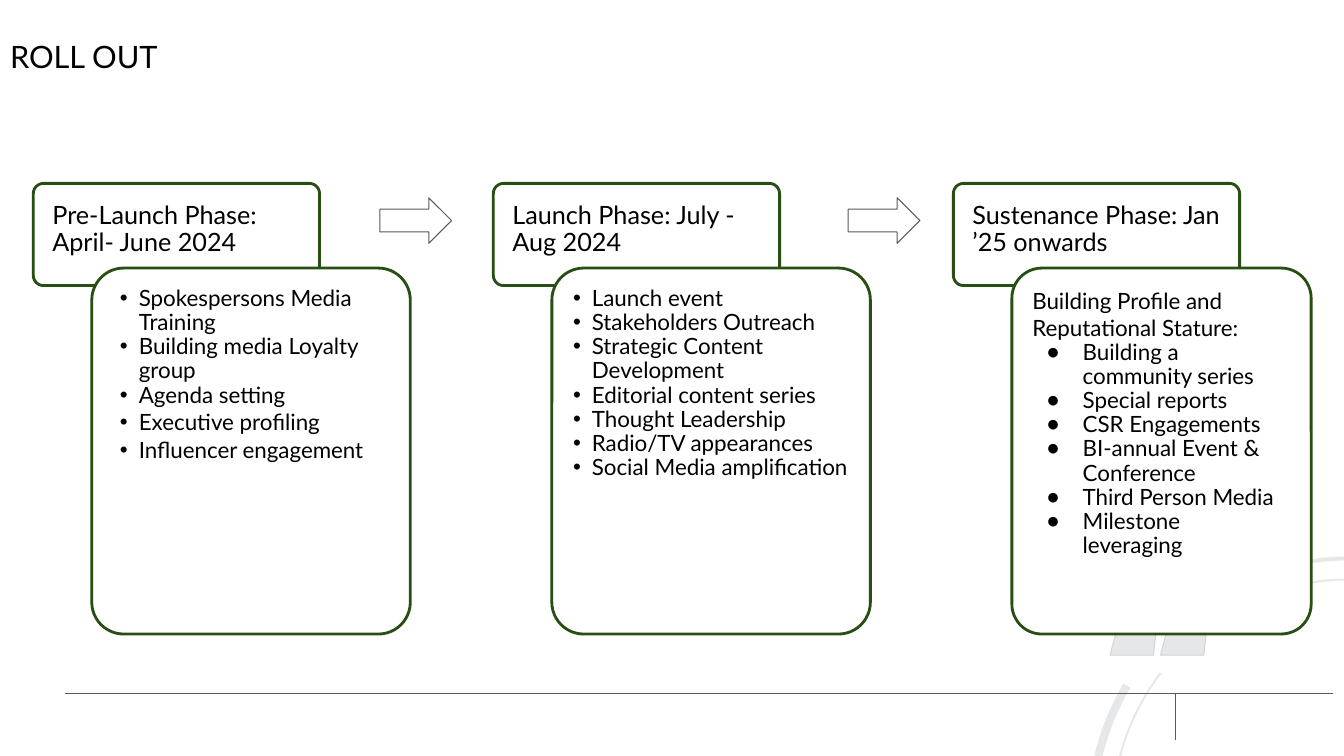
from math import cos, radians, sin

from lxml import etree
from pptx import Presentation
from pptx.dml.color import RGBColor
from pptx.enum import shapes, text
from pptx.oxml import ns
from pptx.util import Pt

COLORS = {"ink": "000000", "paper": "FFFFFF", "green": "274E13",
          "rule": "595959", "mist": "E6E7E8", "edge": "D2D3D5"}
FONT = "Lato"
PHASE_PITCH = 328.6

# Heading, intro, items, bullet, (hanging left, hanging indent),
# card width, list inset from the card, list width, items spaced from here on
PHASES = [
    ("Pre-Launch Phase: April- June 2024", None,
     ["Spokespersons Media Training", "Building media Loyalty group",
      "Agenda setting", "Executive profiling", "Influencer engagement"],
     "•", (13.5, -13.5), 227.5, 11.5, 192, 3),
    ("Launch Phase: July - Aug 2024", None,
     ["Launch event", "Stakeholders Outreach", "Strategic Content Development",
      "Editorial content series", "Thought Leadership",
      "Radio/TV appearances", "Social Media amplification"],
     "•", (13.5, -13.5), 227.5, 6.5, 214, None),
    ("Sustenance Phase: Jan ’25 onwards",
     "Building Profile and Reputational Stature:",
     ["Building a community series", "Special reports", "CSR Engagements",
      "BI-annual Event & Conference", "Third Person Media",
      "Milestone leveraging"],
     "●", (36, -26), 213.8, 6, 192, None),
]


def color(name):
    return RGBColor.from_string(COLORS[name])


def paint(shape, fill, line, width=0.75):
    shape.shadow.inherit = False
    if fill:
        shape.fill.solid()
        shape.fill.fore_color.rgb = color(fill)
    else:
        shape.fill.background()
    if line:
        shape.line.color.rgb = color(line)
        shape.line.width = Pt(width)
    else:
        shape.line.fill.background()


def place(shape, left, top, width, height):
    shape.left, shape.top = Pt(left), Pt(top)
    shape.width, shape.height = Pt(width), Pt(height)


def prepare_frame(shape, insets, anchor=text.MSO_ANCHOR.TOP):
    frame = shape.text_frame
    frame.word_wrap = True
    frame.auto_size = text.MSO_AUTO_SIZE.NONE
    frame.vertical_anchor = anchor
    (frame.margin_left, frame.margin_top,
     frame.margin_right, frame.margin_bottom) = map(Pt, insets)
    return frame


def write(para, words, size, spacing=0.9, before=0):
    para.text = words
    para.alignment = text.PP_ALIGN.LEFT
    para.line_spacing = spacing
    para.space_before = Pt(before)
    para.space_after = Pt(0)
    para.font.name = FONT
    para.font.size = Pt(size)
    para.font.bold = False
    para.font.color.rgb = color("ink")


def set_bullet(para, symbol, left=0, indent=0):
    props = para._p.get_or_add_pPr()
    props.set("marL", str(Pt(left)))
    props.set("indent", str(Pt(indent)))
    if symbol is None:
        etree.SubElement(props, ns.qn("a:buNone"))
        return
    tint = etree.SubElement(props, ns.qn("a:buClr"))
    etree.SubElement(tint, ns.qn("a:srgbClr"), val=COLORS["ink"])
    etree.SubElement(props, ns.qn("a:buFont"), typeface="Arial")
    etree.SubElement(props, ns.qn("a:buChar"), char=symbol)


def add_outline(page, contours, fill, line):
    builder = None
    for points in contours:
        points = [(Pt(x), Pt(y)) for x, y in points]
        if builder is None:
            builder = page.shapes.build_freeform(*points[0])
        else:
            builder.move_to(*points[0])
        builder.add_line_segments(points[1:], close=True)
    paint(builder.convert_to_shape(), fill, line)


def add_backdrop(page, center_x, center_y):
    def arc(radius, start, end, steps=20):
        angles = [radians(start + (end - start) * i / steps)
                  for i in range(steps + 1)]
        return [(center_x - radius * sin(a), center_y - radius * cos(a))
                for a in angles]

    # Ring segments: outer radius, inner radius, start and end angle
    rings = [(186.8, 181, 59.5, 76.5), (169.6, 168.2, 52.7, 75.5),
             (169.9, 168.5, 1, 31.7), (185.7, 182.8, 1, 24.2)]
    add_outline(page, [arc(outer, a, b) + arc(inner, b, a)
                       for outer, inner, a, b in rings], "mist", None)
    # Slanted stripes
    left, top = center_x - 170.5, center_y - 175.7
    stripe = [(16, 0), (37.5, 0), (31, 60.5), (0, 60.5)]
    add_outline(page, [[(left + shift + x, top + y) for x, y in stripe]
                       for shift in (0, 36)], "mist", "edge")


def add_title(page, left, top, width, height):
    title = page.shapes.title
    place(title, left, top, width, height)
    frame = prepare_frame(title, (7.2, 3.6, 7.2, 3.6), text.MSO_ANCHOR.MIDDLE)
    write(frame.paragraphs[0], "ROLL OUT", 22)


def add_card(page, left, top, width, height, fill):
    card = page.shapes.add_shape(shapes.MSO_SHAPE.ROUNDED_RECTANGLE,
                                 Pt(left), Pt(top), Pt(width), Pt(height))
    card.adjustments[0] = 0.1
    paint(card, fill, "green", 2)
    return card


def add_phase(page, body, left, top, phase):
    (heading, intro, items, symbol, hanging,
     width, inset, list_width, spaced_from) = phase
    # Heading card
    header = add_card(page, left, top, 204.5, 73, None)
    frame = prepare_frame(header, (11.5, 11.5, 11.5, 5.8))
    write(frame.paragraphs[0], heading, 18)
    # Detail card, with the list on top of it
    card_left, card_top = left + 41.8, top + 60.5
    add_card(page, card_left, card_top, width, 261.4, "paper")
    page.shapes.element.append(body.element)
    place(body, card_left + inset, card_top + 5, list_width, 252)
    frame = prepare_frame(body, (8.6,) * 4)
    para = frame.paragraphs[0]
    if intro:
        set_bullet(para, None)
        write(para, intro, 16, spacing=1.0)
    for index, item in enumerate(items):
        if index or intro:
            para = frame.add_paragraph()
        set_bullet(para, symbol, *hanging)
        spaced = spaced_from is not None and index >= spaced_from
        write(para, item, 16, before=2.4 if spaced else 0)


def add_arrow(page, left, top):
    arrow = page.shapes.add_shape(shapes.MSO_SHAPE.RIGHT_ARROW,
                                  Pt(left), Pt(top), Pt(51.2), Pt(32.5))
    paint(arrow, None, "rule")


def add_footer_rules(page, left, top, width, height):
    divider = left + 793
    for x1, y1, x2, y2 in [(divider, top, divider, top + height),
                           (left, top, left + width, top)]:
        rule = page.shapes.add_connector(shapes.MSO_CONNECTOR.STRAIGHT,
                                         Pt(x1), Pt(y1), Pt(x2), Pt(y2))
        rule.line.color.rgb = color("rule")
        rule.line.width = Pt(0.75)
        etree.SubElement(rule.element.spPr, ns.qn("a:effectLst"))


def main():
    deck = Presentation()
    deck.slide_width, deck.slide_height = Pt(960), Pt(540)
    page = deck.slides.add_slide(deck.slide_layouts.get_by_name("Comparison"))
    bodies = [box for box in page.placeholders
              if box.placeholder_format.idx in range(1, 5)]
    add_backdrop(page, 963.4, 583.2)
    for index, phase in enumerate(PHASES):
        add_phase(page, bodies[index], 23.8 + index * PHASE_PITCH, 131, phase)
    for spare in bodies[len(PHASES):]:
        spare.element.getparent().remove(spare.element)
    add_title(page, 0, 25.8, 819.5, 32.5)
    add_footer_rules(page, 46.5, 495.4, 905.5, 33)
    for left in (271.4, 605.9):
        add_arrow(page, left, 141.3)
    deck.save("out.pptx")


if __name__ == "__main__":
    main()
